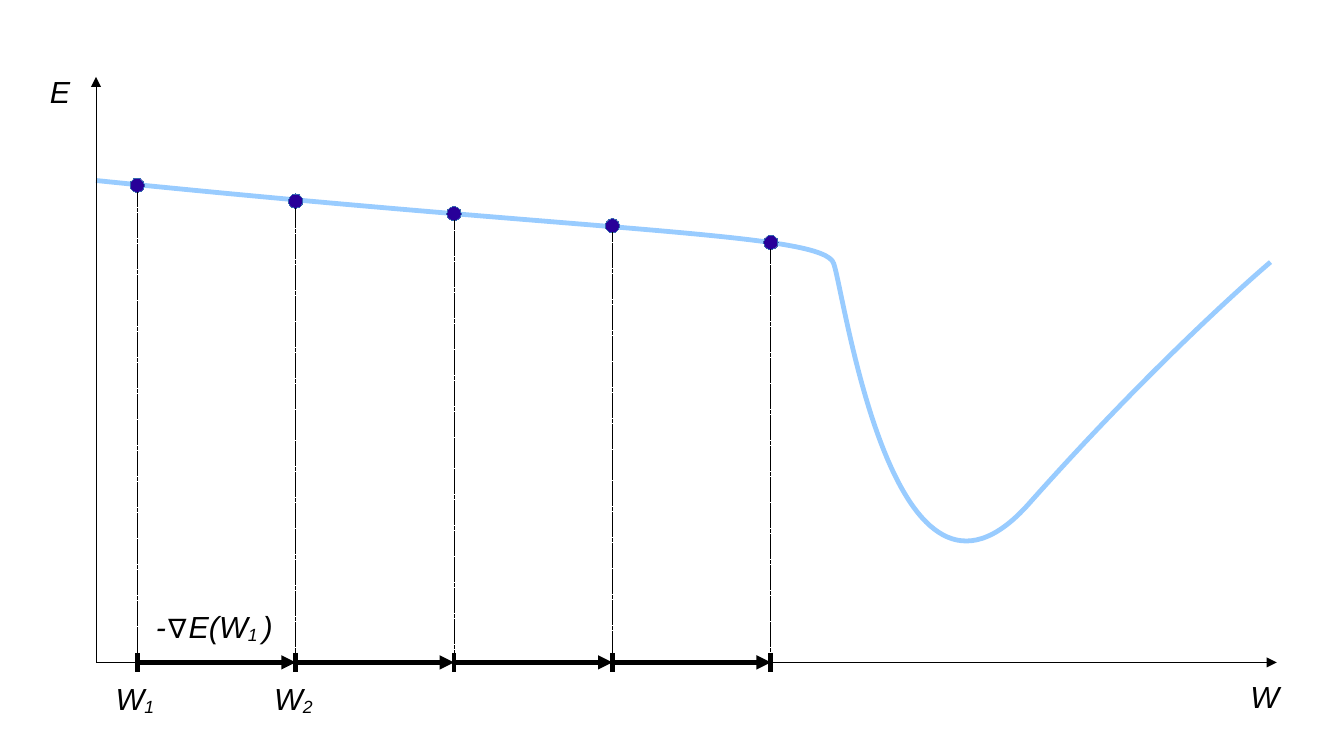
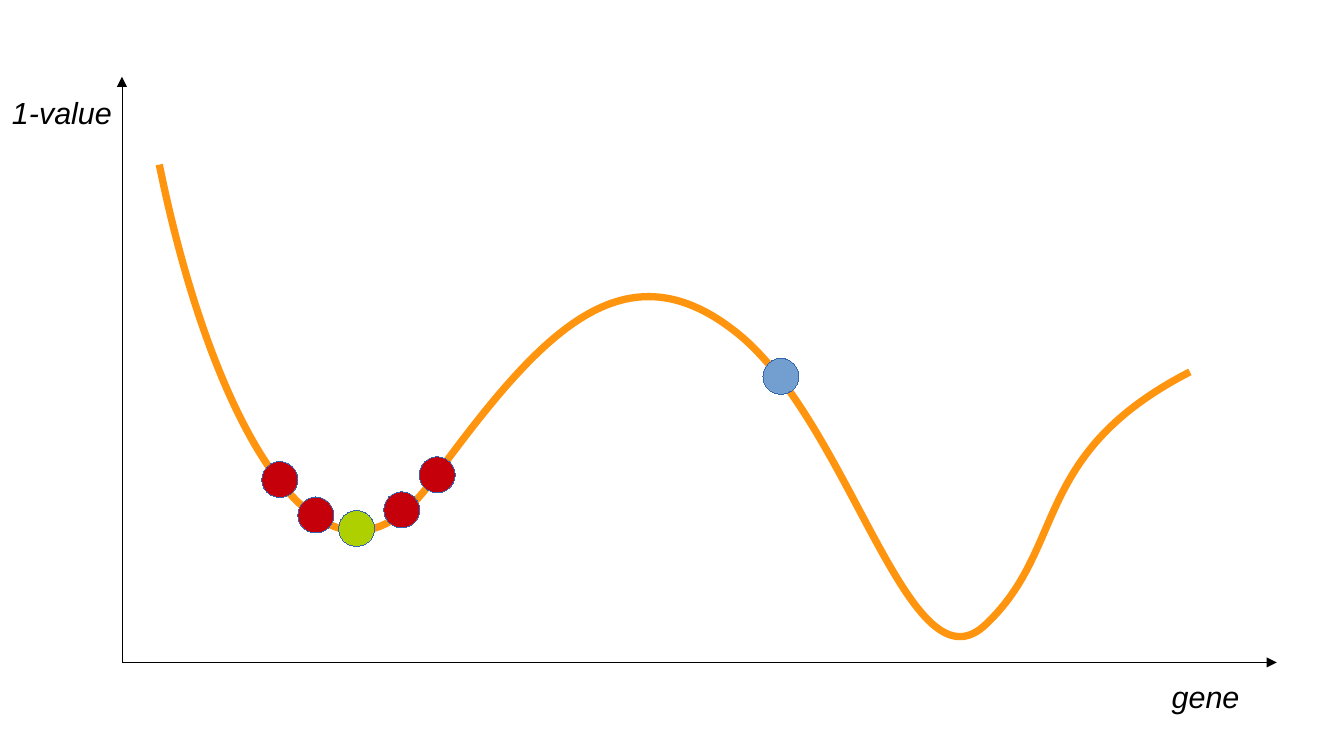
"""Draw two optimisation landscapes: gradient steps and a gene search."""
import dataclasses

import lxml.etree
import pptx
import pptx.dml.color
import pptx.enum.dml
import pptx.enum.shapes
import pptx.enum.text
import pptx.oxml.ns
import pptx.util
from pptx.util import Cm


@dataclasses.dataclass(frozen=True)
class Theme:
    font: str = "Arial"
    text_size: float = 18
    ink: str = "000000"
    dot_outline: str = "3465AF"
    error_curve: str = "99CCFF"
    step_dot: str = "280099"
    value_curve: str = "FF950E"
    neighbour: str = "C5000B"
    local_best: str = "AECF00"
    candidate: str = "729FCF"
    hairline: float = 0
    bold_line: float = 2.83
    heavy_line: float = 4.31
    subscript: str = "-8000"


THEME = Theme()
AXIS_TOP, AXIS_BOTTOM, AXIS_RIGHT = 1.6, 13.8, 26.6
qn = pptx.oxml.ns.qn


def bezier_point(anchors, t):
    weights = ((1 - t) ** 3, 3 * t * (1 - t) ** 2, 3 * t ** 2 * (1 - t), t ** 3)
    return tuple(sum(w * a[i] for w, a in zip(weights, anchors)) for i in (0, 1))


class Sketch:
    def __init__(self, deck, theme):
        self.deck = deck
        self.theme = theme
        self.page = None

    def new_page(self):
        self.page = self.deck.slides.add_slide(self.deck.slide_layouts[6])

    def set_line(self, shape, color, width):
        shape.line.color.rgb = pptx.dml.color.RGBColor.from_string(color)
        outline = shape._element.spPr.find(qn("a:ln"))
        outline.set("w", str(int(pptx.util.Pt(width))))
        return outline

    def line(self, start, end, width, arrow=False, dashed=False):
        connector = self.page.shapes.add_connector(
            pptx.enum.shapes.MSO_CONNECTOR.STRAIGHT, *map(Cm, (*start, *end)))
        outline = self.set_line(connector, self.theme.ink, width)
        if dashed:
            connector.line.dash_style = pptx.enum.dml.MSO_LINE.SQUARE_DOT
        if arrow:
            lxml.etree.SubElement(outline, qn("a:tailEnd"), type="triangle")
        lxml.etree.SubElement(connector._element.spPr, qn("a:effectLst"))

    def axes(self, left):
        origin = (left, AXIS_BOTTOM)
        for tip in ((AXIS_RIGHT, AXIS_BOTTOM), (left, AXIS_TOP)):
            self.line(origin, tip, self.theme.hairline, arrow=True)

    def curve(self, anchors, color, width, samples=40):
        starts = range(0, len(anchors) - 1, 3)
        extent = [
            tuple(map(Cm, bezier_point(anchors[first:first + 4], step / samples)))
            for first in starts for step in range(1, samples + 1)
        ]
        builder = self.page.shapes.build_freeform(*map(Cm, anchors[0]))
        builder.add_line_segments(extent, close=False)
        shape = builder.convert_to_shape()
        outline_track = next(shape._element.iter(qn("a:moveTo"))).getparent()
        for segment in outline_track.findall(qn("a:lnTo")):
            outline_track.remove(segment)
        for first in starts:
            bend = lxml.etree.SubElement(outline_track, qn("a:cubicBezTo"))
            for x, y in anchors[first + 1:first + 4]:
                lxml.etree.SubElement(bend, qn("a:pt"), x=str(Cm(x) - shape.left),
                                      y=str(Cm(y) - shape.top))
        shape.shadow.inherit = False
        shape.fill.background()
        self.set_line(shape, color, width)

    def dot(self, center, size, color):
        left, top = (value - size / 2 for value in center)
        shape = self.page.shapes.add_shape(
            pptx.enum.shapes.MSO_SHAPE.OVAL, *map(Cm, (left, top, size, size)))
        shape.shadow.inherit = False
        shape.fill.solid()
        shape.fill.fore_color.rgb = pptx.dml.color.RGBColor.from_string(color)
        self.set_line(shape, self.theme.dot_outline, self.theme.hairline)

    def label(self, left, top, width, height, *parts):
        box = self.page.shapes.add_textbox(*map(Cm, (left, top, width, height)))
        frame = box.text_frame
        frame.word_wrap = True
        frame.auto_size = pptx.enum.text.MSO_AUTO_SIZE.SHAPE_TO_FIT_TEXT
        para = frame.paragraphs[0]
        para.font.name = self.theme.font
        para.font.size = pptx.util.Pt(self.theme.text_size)
        para.font.italic = True
        para.font.color.rgb = pptx.dml.color.RGBColor.from_string(self.theme.ink)
        for text, style in parts:
            span = para.add_run()
            span.text = text
            if style == "upright":
                span.font.italic = False
            elif style == "sub":
                span.font._element.set("baseline", self.theme.subscript)


def draw_gradient_steps(sketch):
    theme = sketch.theme
    first_x, stride = 2.86, 3.3
    dot_size, tick_half = 0.3, 0.2
    dot_heights = (3.86, 4.19, 4.45, 4.7, 5.05)

    sketch.new_page()
    sketch.curve(
        [(2, 3.76), (12.62, 4.85), (17.17, 4.85), (17.37, 5.49),
         (17.6, 6.15), (18.62, 13.67), (21.44, 10.49),
         (24.26, 7.32), (26.47, 5.46), (26.47, 5.46)],
        theme.error_curve, theme.bold_line)
    sketch.axes(2)
    for index, height in enumerate(dot_heights):
        x = first_x + index * stride
        sketch.dot((x, height), dot_size, theme.step_dot)
        sketch.line((x, height + dot_size / 2), (x, AXIS_BOTTOM),
                    theme.hairline, dashed=True)
        sketch.line((x, AXIS_BOTTOM - tick_half), (x, AXIS_BOTTOM + tick_half),
                    theme.bold_line)
        if index:
            sketch.line((x - stride, AXIS_BOTTOM), (x, AXIS_BOTTOM),
                        theme.bold_line, arrow=True)

    sketch.label(0.79, 1.4, 1.8, 0.97, ("E", ""))
    sketch.label(25.8, 14, 1.8, 0.97, ("W", ""))
    for index in range(2):
        sketch.label(2.16 + index * stride, 14.05, 1.6, 1.17,
                     ("W", ""), (str(index + 1), "sub"))
    sketch.label(3, 12.55, 3.4, 1.17, ("-", ""), ("∇", "upright"),
                 ("E(W", ""), ("1 ", "sub"), (")", ""))


def draw_gene_search(sketch):
    theme = sketch.theme
    sketch.new_page()
    sketch.axes(2.54)
    sketch.curve(
        [(3.32, 3.43), (4.42, 8.86), (6.76, 13.06), (8.97, 10.06),
         (11.18, 7.04), (12.93, 5.03), (15.32, 6.91),
         (17.73, 8.79), (18.95, 14.61), (20.57, 12.98),
         (22.23, 11.38), (21.49, 9.45), (24.79, 7.75)],
        theme.value_curve, theme.heavy_line)
    for x, y, color in (
            (5.83, 9.99, theme.neighbour),
            (6.58, 10.73, theme.neighbour),
            (7.43, 11.01, theme.local_best),
            (8.37, 10.62, theme.neighbour),
            (9.11, 9.89, theme.neighbour),
            (16.27, 7.84, theme.candidate)):
        sketch.dot((x, y), 0.75, color)
    sketch.label(0, 1.83, 2.82, 0.97, ("1-value", ""))
    sketch.label(24.16, 14, 2.85, 0.97, ("gene", ""))


def main():
    deck = pptx.Presentation()
    deck.slide_width, deck.slide_height = Cm(28), Cm(15.75)
    sketch = Sketch(deck, THEME)
    draw_gradient_steps(sketch)
    draw_gene_search(sketch)
    deck.save("out.pptx")


if __name__ == "__main__":
    main()
